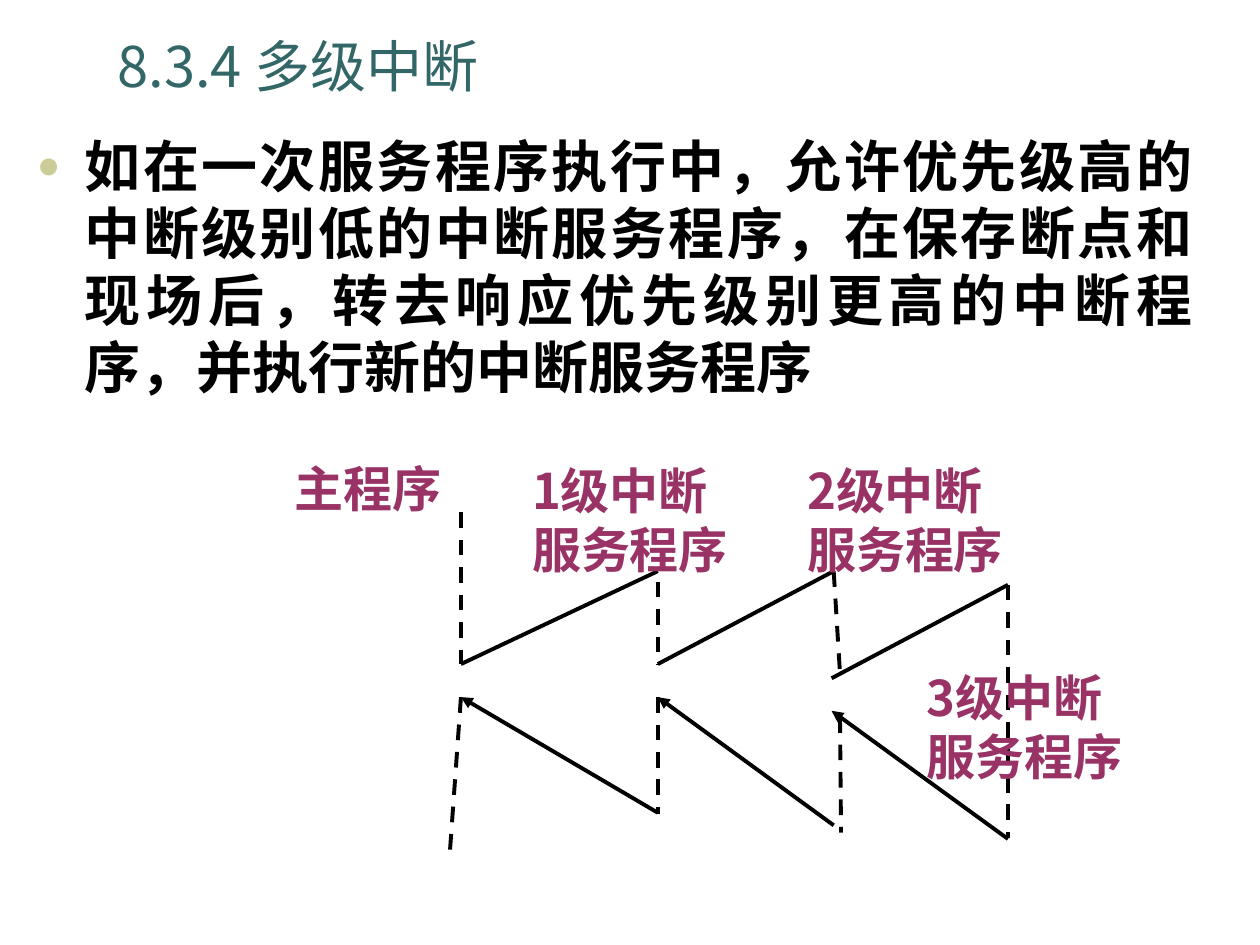
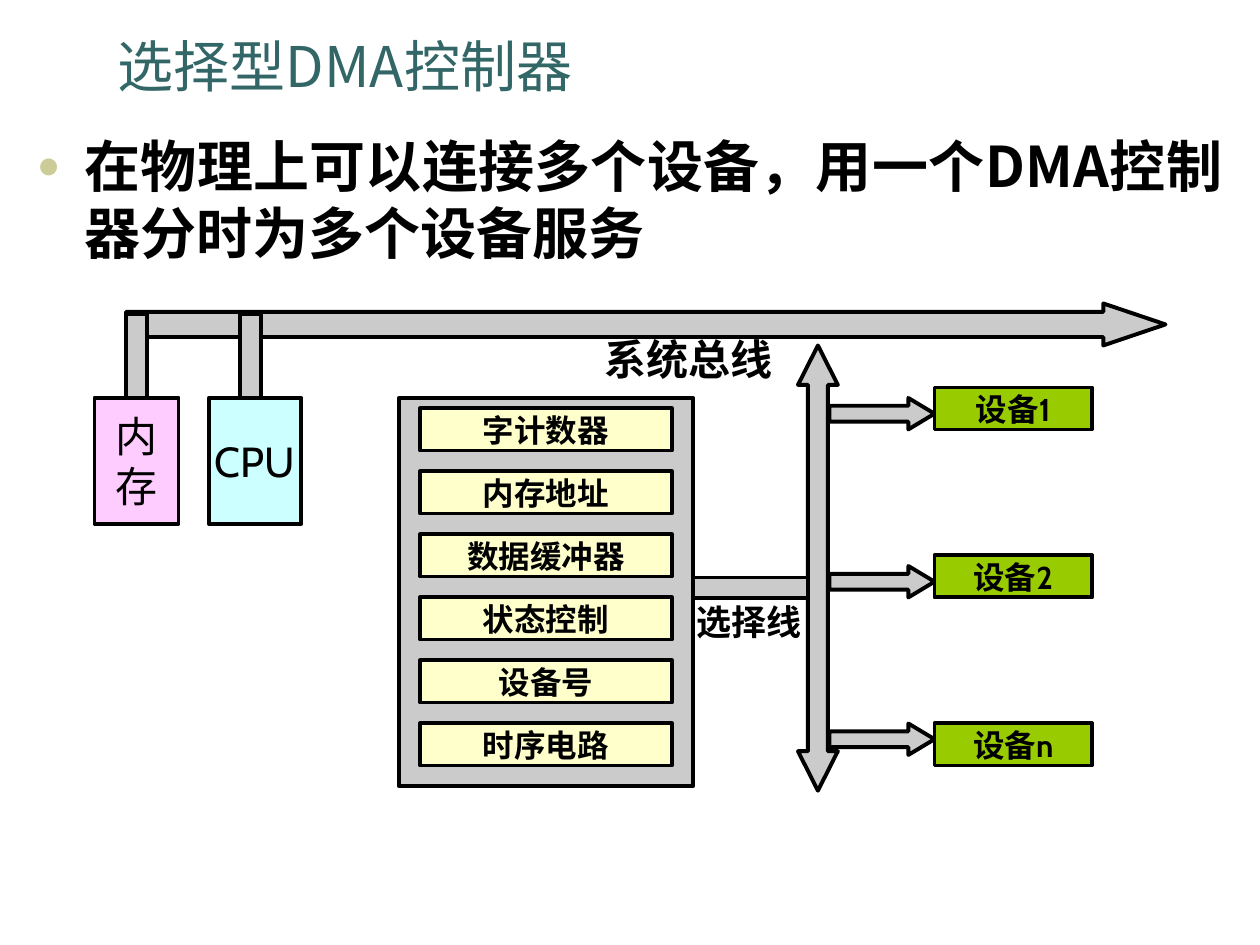
from dataclasses import dataclass
from typing import Optional

from lxml import etree
from pptx import Presentation
from pptx import util as u
from pptx.dml.color import RGBColor
from pptx.enum import dml, shapes, text
from pptx.oxml import ns

# Shared look
TEAL = RGBColor(0x33, 0x66, 0x66)
SAND = RGBColor(0xCC, 0xCC, 0x99)
PLUM = RGBColor(0x99, 0x33, 0x66)
BLACK = RGBColor(0x00, 0x00, 0x00)
GREY = RGBColor(0xCB, 0xCB, 0xCB)
PINK = RGBColor(0xFF, 0xCC, 0xFF)
CYAN = RGBColor(0xCC, 0xFF, 0xFF)
CREAM = RGBColor(0xFF, 0xFF, 0xCC)
GREEN = RGBColor(0x99, 0xCC, 0x00)

SANS = "Noto Sans CJK SC"
CABIN = "Cabin"
COMIC = "Comic Neue"
STROKE = u.Pt(2.25)
LEADING = 1.2

# The slide is a grid of 120 columns by 90 rows
WIDTH, HEIGHT = u.Inches(10), u.Inches(7.5)
COLUMNS, ROWS = 120, 90

SHAPE = shapes.MSO_SHAPE
LEFT, CENTER, JUSTIFY = text.PP_ALIGN.LEFT, text.PP_ALIGN.CENTER, text.PP_ALIGN.JUSTIFY


@dataclass(frozen=True)
class Area:
    col: float
    row: float
    cols: float
    rows: float

    def place(self) -> tuple:
        return across(self.col), down(self.row), across(self.cols), down(self.rows)


@dataclass(frozen=True)
class Style:
    size: float
    face: str
    color: RGBColor = BLACK
    bold: bool = False
    align: text.PP_ALIGN = CENTER


@dataclass(frozen=True)
class Stroke:
    start: tuple
    end: tuple
    dashed: bool = False
    arrow: bool = False


@dataclass(frozen=True)
class Block:
    area: Area
    fill: Optional[RGBColor] = GREY
    kind: shapes.MSO_SHAPE = SHAPE.RECTANGLE
    words: str = ""
    style: Optional[Style] = None
    adjust: tuple = ()


TITLE = Style(32, SANS, TEAL, align=LEFT)
BODY = Style(32, SANS, bold=True, align=JUSTIFY)
LABEL = Style(28, SANS, PLUM, True, LEFT)
MAIN_LABEL = Style(28, CABIN, PLUM, True, LEFT)
UNIT = Style(24, CABIN)
PART = Style(18, CABIN, bold=True)
TITLE_AREA = Area(10, 2.4, 101, 7.6)


def across(cols: float) -> int:
    return round(WIDTH * cols / COLUMNS)


def down(rows: float) -> int:
    return round(HEIGHT * rows / ROWS)


def write(frame, words: str, style: Style, wrap: bool = True) -> None:
    """Fill a text frame, one paragraph for each line of words."""
    frame.word_wrap = wrap
    frame.auto_size = text.MSO_AUTO_SIZE.NONE
    for number, line in enumerate(words.split("\n")):
        para = frame.add_paragraph() if number else frame.paragraphs[0]
        para.alignment = style.align
        para.space_before = u.Pt(0)
        para.line_spacing = u.Pt(style.size * LEADING)
        span = para.add_run()
        span.text = line
        font = span.font
        font.size, font.bold, font.name = u.Pt(style.size), style.bold, style.face
        font.color.rgb = style.color
        east = etree.SubElement(span._r.get_or_add_rPr(), ns.qn("a:ea"))
        east.set("typeface", style.face)


def add_bullet(para) -> None:
    """Give a hanging round bullet and keep punctuation inside the margin."""
    props = para._p.get_or_add_pPr()
    props.set("marL", str(u.Inches(0.38)))
    props.set("indent", str(-u.Inches(0.38)))
    props.set("hangingPunct", "0")
    color = etree.SubElement(props, ns.qn("a:buClr"))
    etree.SubElement(color, ns.qn("a:srgbClr")).set("val", str(SAND))
    etree.SubElement(props, ns.qn("a:buSzPct")).set("val", "70000")
    etree.SubElement(props, ns.qn("a:buChar")).set("char", "●")


def add_page(deck, title: str, body: str, body_area: Area):
    page = deck.slides.add_slide(deck.slide_layouts[1])
    heading, content = page.shapes.title, page.placeholders[1]
    for box, area in ((heading, TITLE_AREA), (content, body_area)):
        box.left, box.top, box.width, box.height = area.place()
    heading.text_frame.vertical_anchor = text.MSO_ANCHOR.BOTTOM
    write(heading.text_frame, title, TITLE)
    content.text_frame.vertical_anchor = text.MSO_ANCHOR.TOP
    add_bullet(content.text_frame.paragraphs[0])
    write(content.text_frame, body, BODY)
    return page


def add_stroke(page, stroke: Stroke) -> None:
    (x1, y1), (x2, y2) = stroke.start, stroke.end
    line = page.shapes.add_connector(
        shapes.MSO_CONNECTOR.STRAIGHT, across(x1), down(y1), across(x2), down(y2))
    line.line.color.rgb = BLACK
    line.line.width = STROKE
    if stroke.dashed:
        line.line.dash_style = dml.MSO_LINE.DASH
    if stroke.arrow:
        etree.SubElement(line.line._get_or_add_ln(), ns.qn("a:tailEnd")).set("type", "triangle")
    etree.SubElement(line._element.spPr, ns.qn("a:effectLst"))


def add_label(page, area: Area, words: str, style: Style) -> None:
    box = page.shapes.add_textbox(*area.place())
    write(box.text_frame, words, style)


def set_arrow(shape, adjust: tuple) -> None:
    """Set shaft thickness (adj1) and head length (adj2) by guide name."""
    guides = shape._element.spPr.find(ns.qn("a:prstGeom")).find(ns.qn("a:avLst"))
    for guide in list(guides):
        guides.remove(guide)
    for number, value in enumerate(adjust, 1):
        guide = etree.SubElement(guides, ns.qn("a:gd"))
        guide.set("name", f"adj{number}")
        guide.set("fmla", f"val {round(value * 100000)}")


def add_block(page, block: Block) -> None:
    shape = page.shapes.add_shape(block.kind, *block.area.place())
    shape.shadow.inherit = False
    if block.adjust:
        set_arrow(shape, block.adjust)
    if block.fill is None:
        shape.fill.background()
        shape.line.fill.background()
    else:
        shape.fill.solid()
        shape.fill.fore_color.rgb = block.fill
        shape.line.color.rgb = BLACK
        shape.line.width = STROKE
    if block.style:
        shape.text_frame.vertical_anchor = text.MSO_ANCHOR.MIDDLE
        write(shape.text_frame, block.words, block.style, wrap=False)


def build_interrupts(deck) -> None:
    page = add_page(
        deck, "8.3.4 多级中断",
        "如在一次服务程序执行中，允许优先级高的中断级别低的中断服务程序，"
        "在保存断点和现场后，转去响应优先级别更高的中断程序，并执行新的中断服务程序",
        Area(2.3, 11.9, 112.5, 31.2))

    # Columns of the four programs, and rows where control leaves and returns
    main, first, second, third = 43.9, 62.65, 79.4, 96
    enter, leave, back = 54.4, 63.25, 66.4
    strokes = [
        # Main program
        Stroke((main, 48.8), (main, leave), dashed=True),
        Stroke((main, back), (42.8, 81.8), dashed=True),
        # First level
        Stroke((main, leave), (first, enter)),
        Stroke((first, 55.4), (first, leave), dashed=True),
        Stroke((first, back), (first, 77.5), dashed=True),
        Stroke((first, 77.4), (main, back), arrow=True),
        # Second level
        Stroke((first, leave), (second, enter)),
        Stroke((second, enter), (80, 64.1), dashed=True),
        Stroke((80, 68.3), (80.1, 79.3), dashed=True),
        Stroke((second, 78.6), (first, back), arrow=True),
        # Third level
        Stroke((79.2, 64.6), (third, 55.7)),
        Stroke((third, 55.7), (third, 79.8), dashed=True),
        Stroke((third, 79.9), (79.2, 67.7), arrow=True),
    ]
    for stroke in strokes:
        add_stroke(page, stroke)

    add_label(page, Area(26.9, 43.1, 26.3, 6.8), "主程序", MAIN_LABEL)
    for level, (col, row) in enumerate([(49.5, 43.3), (75.7, 43.3), (87.1, 63)], 1):
        add_label(page, Area(col, row, 30, 12.5), f"{level}级中断\n服务程序", LABEL)


def build_dma(deck) -> None:
    page = add_page(
        deck, "选择型DMA控制器",
        "在物理上可以连接多个设备，用一个DMA控制器分时为多个设备服务",
        Area(2.3, 11.9, 115.3, 16.1))

    process = SHAPE.FLOWCHART_PROCESS
    # System bus with memory and processor
    blocks = [
        Block(Area(12, 28.9, 99, 4), kind=SHAPE.RIGHT_ARROW, adjust=(0.6, 1.48)),
        Block(Area(9, 37.9, 8, 12), PINK, process, "内\n存", UNIT),
        Block(Area(12, 29.9, 2, 8)),
        Block(Area(22.9, 29.9, 2, 8)),
        Block(Area(19.9, 37.9, 8.8, 12), CYAN, process, "CPU", UNIT),
    ]
    # Controller and its registers
    registers = ["字计数器", "内存地址", "数据缓冲器", "状态控制", "设备号", "时序电路"]
    blocks.append(Block(Area(38, 37.9, 28, 37)))
    blocks += [Block(Area(40, 38.9 + 6 * i, 24, 4), CREAM, process, name, PART)
               for i, name in enumerate(registers)]
    # Selection line and device arrows
    blocks += [
        Block(Area(76, 32.9, 3.8, 42.4), kind=SHAPE.UP_DOWN_ARROW, adjust=(0.5, 0.99)),
        Block(Area(66, 55, 11, 2)),
    ]
    blocks += [Block(Area(79, row, 10, 3), kind=SHAPE.RIGHT_ARROW, adjust=(0.5, 0.83))
               for row in (37.9, 53.9, 68.9)]
    # Devices
    blocks += [Block(Area(89, 36.9 + 16 * i, 15, 4), GREEN, process, f"设备{mark}", PART)
               for i, mark in enumerate("12n")]
    # Names of the lines
    rounded = SHAPE.FLOWCHART_ALTERNATE_PROCESS
    blocks += [
        Block(Area(66.6, 55.4, 9.5, 7.6), None, rounded, "选择线", Style(20, COMIC, bold=True)),
        Block(Area(54.2, 30.9, 22.7, 6.6), None, rounded, "系统总线", Style(24, COMIC, bold=True)),
    ]
    for block in blocks:
        add_block(page, block)


def main() -> None:
    deck = Presentation()
    deck.slide_width, deck.slide_height = WIDTH, HEIGHT
    build_interrupts(deck)
    build_dma(deck)
    deck.save("out.pptx")


if __name__ == "__main__":
    main()
